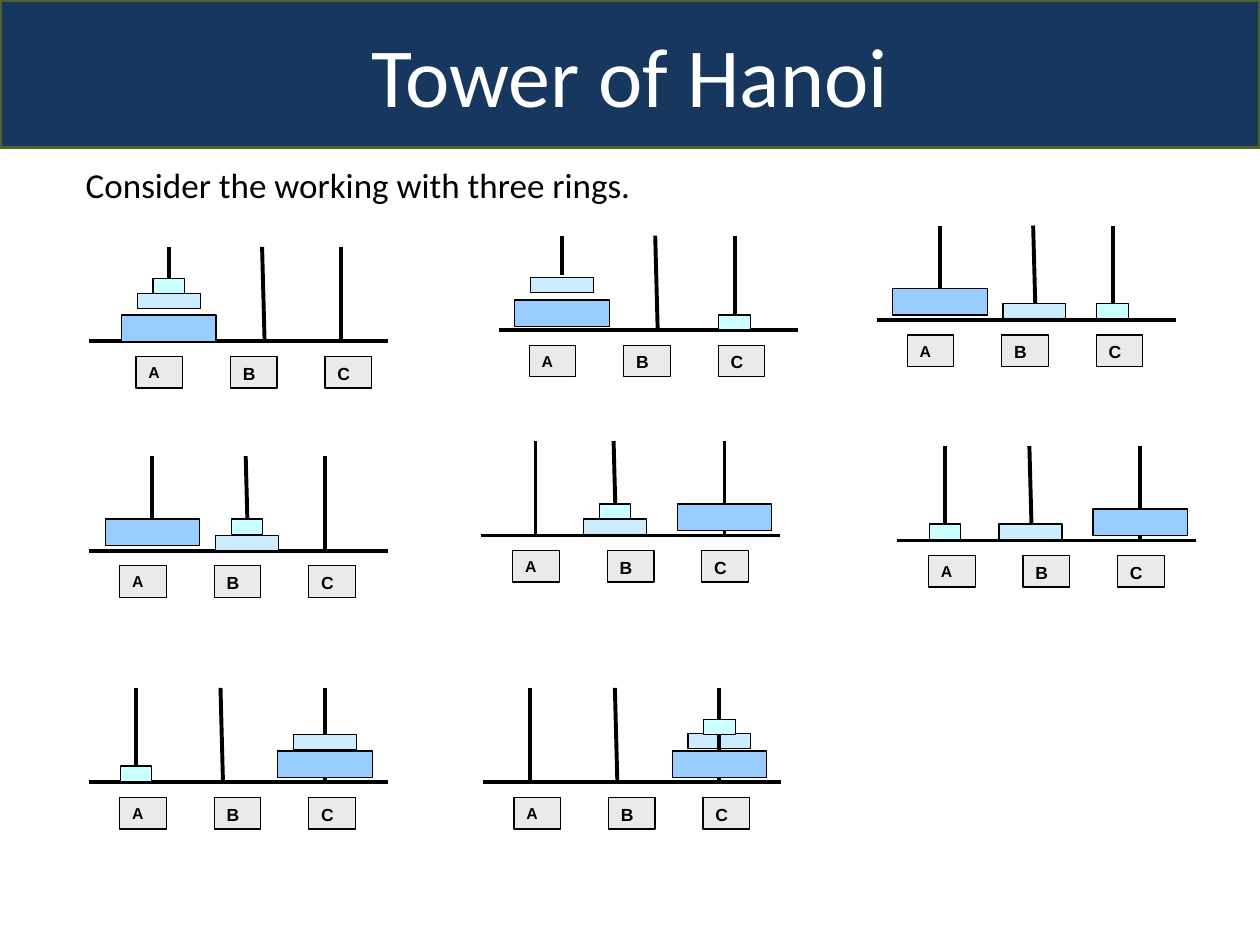
from lxml.etree import SubElement
from pptx import Presentation
from pptx.dml.color import RGBColor
from pptx.enum.shapes import MSO_CONNECTOR as Connector, MSO_SHAPE as Shape
from pptx.enum.text import MSO_ANCHOR as Anchor, MSO_AUTO_SIZE as AutoSize, PP_ALIGN as Align
from pptx.oxml.ns import qn
from pptx.util import Inches, Pt

TITLE = "Tower of Hanoi"
INTRO = "Consider the working with three rings."
COLORS = {
    "banner": "17375E", "banner_line": "4F6228", "white": "FFFFFF", "black": "000000",
    "label": "EAEAEA", "large": "99CCFF", "medium": "CCECFF", "small": "CCFFFF",
}
RING_SIZES = {"large": (0.75, 0.21), "medium": (0.5, 0.12), "small": (0.25, 0.12)}
LABELS = [("A", 9), ("B", 10), ("C", 10)]
BASE_WIDTH, PEG_HEIGHT, PEG_LEAN = 2.37, 0.75, 0.02
LABEL_SIZE, LABEL_STEP, LABEL_DROP = (0.37, 0.25), 0.75, 0.12

# base: left and height on the slide; lift: foot of peg A above the base;
# rings: peg index and rise of the ring's top above the base
STATES = [
    {"base": (0.71, 2.71), "labels": 1.08, "pegs": (1.34, 2.08, 2.71), "lift": 0.45,
     "rings": {"large": (0, 0.21), "medium": (0, 0.38), "small": (0, 0.5)}},
    {"base": (3.96, 2.62), "labels": 4.2, "pegs": (4.46, 5.2, 5.83), "lift": 0.44,
     "rings": {"large": (0, 0.24), "medium": (0, 0.42), "small": (2, 0.12)}},
    {"base": (6.96, 2.54), "labels": 7.2, "pegs": (7.46, 8.2, 8.83), "lift": 0.25,
     "rings": {"large": (0, 0.25), "medium": (1, 0.13), "small": (2, 0.13)}},
    {"base": (0.71, 4.37), "labels": 0.95, "pegs": (1.21, 1.95, 2.58), "lift": 0.25,
     "rings": {"large": (0, 0.25), "medium": (1, 0.12), "small": (1, 0.25)}},
    {"base": (3.82, 4.25), "labels": 4.07, "pegs": (4.25, 4.87, 5.75), "lift": 0,
     "rings": {"large": (2, 0.25), "medium": (1, 0.13), "small": (1, 0.25)}},
    {"base": (7.12, 4.29), "labels": 7.37, "pegs": (7.5, 8.17, 9.05), "lift": 0,
     "rings": {"large": (2, 0.25), "medium": (1, 0.13), "small": (0, 0.13)}},
    {"base": (0.71, 6.21), "labels": 0.95, "pegs": (1.08, 1.75, 2.58), "lift": 0,
     "rings": {"large": (2, 0.25), "medium": (2, 0.38), "small": (0, 0.13)}},
    {"base": (3.83, 6.21), "labels": 4.08, "pegs": (4.21, 4.88, 5.71), "lift": 0,
     "rings": {"medium": (2, 0.39), "large": (2, 0.25), "small": (2, 0.5)}, "behind": ["medium"]},
]


def color(name):
    return RGBColor.from_string(COLORS[name])


def apply(target, **values):
    for name, value in values.items():
        setattr(target, name, value)


def paint(shape, fill, line, width):
    shape.fill.solid()
    shape.fill.fore_color.rgb = color(fill)
    shape.line.color.rgb = color(line)
    shape.line.width = Pt(width)


def place(shape, left, top, width, height):
    apply(shape, left=Inches(left), top=Inches(top), width=Inches(width), height=Inches(height))


def write(shape, text, size, font, ink, anchor, align, bold=False, before=0):
    frame = shape.text_frame
    frame.text = text
    apply(frame, word_wrap=True, auto_size=AutoSize.NONE, vertical_anchor=anchor)
    paragraph = frame.paragraphs[0]
    apply(paragraph, alignment=align, space_before=Pt(before))
    apply(paragraph.runs[0].font, size=Pt(size), name=font, bold=bold)
    paragraph.runs[0].font.color.rgb = color(ink)
    return paragraph


def add_box(group, fill, left, top, width, height):
    box = group.shapes.add_shape(
        Shape.RECTANGLE, Inches(left), Inches(top), Inches(width), Inches(height))
    box.shadow.inherit = False
    paint(box, fill, "black", 0.75)
    return box


def add_line(group, *ends):
    line = group.shapes.add_connector(Connector.STRAIGHT, *map(Inches, ends))
    line.line.color.rgb = color("black")
    line.line.width = Pt(2.25)
    SubElement(line._element.spPr, qn("a:effectLst"))
    return line


def add_state(slide, state):
    group = slide.shapes.add_group_shape()
    left, floor = state["base"]
    leans = (0, PEG_LEAN, 0)
    behind = state.get("behind", [])

    def add_ring(name):
        peg, rise = state["rings"][name]
        width, height = RING_SIZES[name]
        center = state["pegs"][peg] + leans[peg] / 2
        return add_box(group, name, center - width / 2, floor - rise, width, height)

    for name in behind:
        add_ring(name)
    add_line(group, left, floor, left + BASE_WIDTH, floor)
    lifts = (state["lift"], 0, 0)
    pegs = [add_line(group, x + lean, floor - lift, x, floor - PEG_HEIGHT)
            for x, lean, lift in zip(state["pegs"], leans, lifts)]
    for name, (peg, rise) in state["rings"].items():
        if name not in behind:
            ring = add_ring(name)
            if rise == lifts[peg]:
                pegs[peg].begin_connect(ring, 0)
    for index, (text, size) in enumerate(LABELS):
        label = add_box(group, "label", state["labels"] + index * LABEL_STEP,
                        floor + LABEL_DROP, *LABEL_SIZE)
        write(label, text, size, "Arial", "black", Anchor.TOP, Align.LEFT, bold=True)


def main():
    """Build the slide that shows the moves of a three-ring Tower of Hanoi."""
    presentation = Presentation()
    apply(presentation, slide_width=Inches(10), slide_height=Inches(7.5))
    slide = presentation.slides.add_slide(presentation.slide_layouts[1])
    title, body = slide.shapes.title, slide.placeholders[1]
    place(title, 0, 0, 10, 1.17)
    paint(title, "banner", "banner_line", 2)
    write(title, TITLE, 48, "Calibri", "white", Anchor.MIDDLE, Align.CENTER)
    place(body, 0.58, 1.25, 9, 0.67)
    intro = write(body, INTRO, 20, "Calibri", "black", Anchor.TOP, Align.LEFT, before=5)
    properties = intro._p.get_or_add_pPr()
    for name in ("marL", "indent"):
        properties.set(name, "0")
    SubElement(properties, qn("a:buNone"))
    for state in STATES:
        add_state(slide, state)
    presentation.save("out.pptx")


if __name__ == "__main__":
    main()
